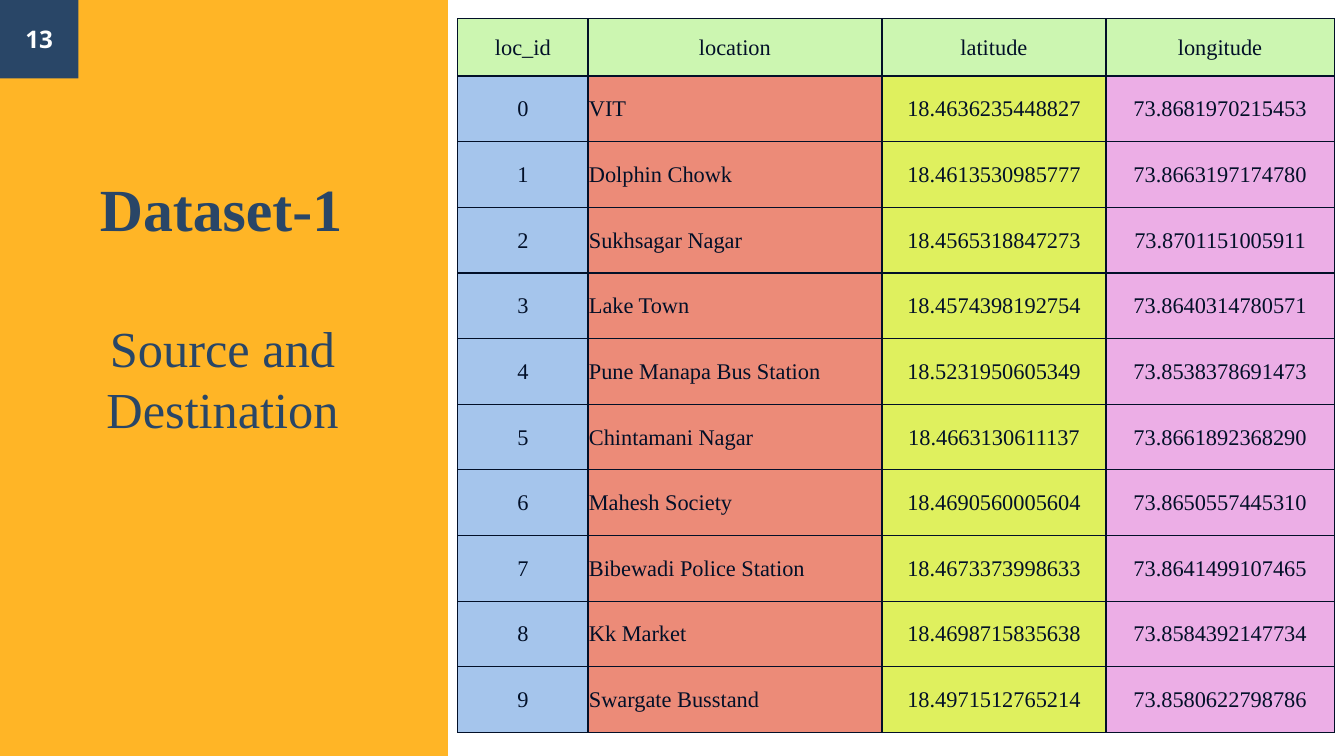
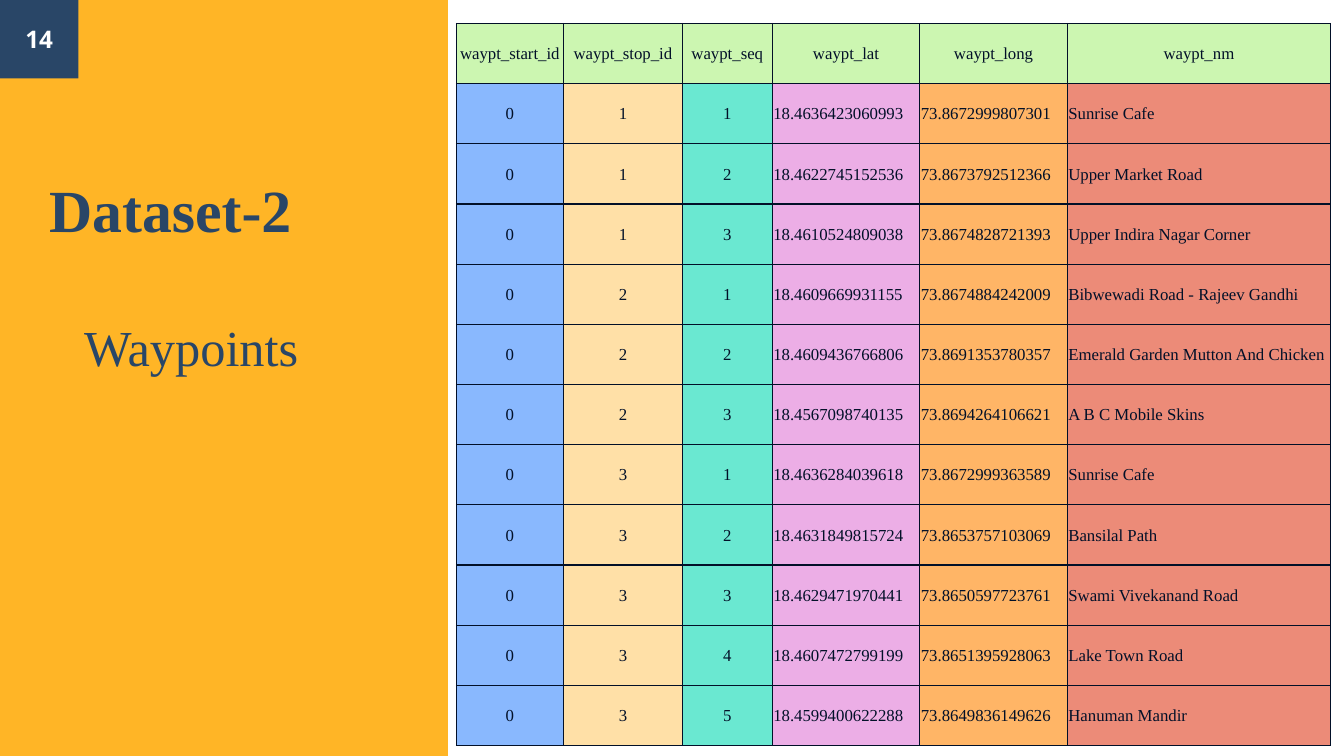
from lxml import etree
from pptx import Presentation
from pptx.dml.color import RGBColor
from pptx.enum.shapes import MSO_SHAPE
from pptx.enum.text import MSO_ANCHOR, PP_ALIGN
from pptx.oxml.ns import qn
from pptx.util import Pt

RECT = MSO_SHAPE.RECTANGLE
TOP, MIDDLE, BOTTOM = MSO_ANCHOR.TOP, MSO_ANCHOR.MIDDLE, MSO_ANCHOR.BOTTOM
LEFT, CENTER = PP_ALIGN.LEFT, PP_ALIGN.CENTER

# Shared colours and fonts
AMBER, NAVY, INK, WHITE = "FFB526", "294667", "021028", "FFFFFF"
MINT, CORAL, PINK = "CCF6B1", "EC8B78", "ECAEE6"
SERIF, SANS = "Times New Roman", "Open Sans"


def rgb(code):
    return RGBColor.from_string(code)


class Deck:
    """Holds the style and the current slide; all lengths are points."""

    title_style = dict(name=SERIF, size=Pt(42.7), bold=True, color=NAVY)
    subtitle_style = dict(name=SERIF, size=Pt(36), color=NAVY)
    number_style = dict(name=SANS, size=Pt(17.3), bold=True, color=WHITE)

    def __init__(self):
        self.prs = Presentation()
        self.prs.slide_width, self.prs.slide_height = Pt(960), Pt(540)
        self.s = None

    def slide(self, number):
        self.s = self.prs.slides.add_slide(self.prs.slide_layouts[6])
        self.rect(0, 0, 320, 540, AMBER)
        badge = self.rect(0, 0, 56, 56, NAVY)
        self.fill_frame(badge.text_frame, [str(number)], self.number_style, CENTER, MIDDLE)

    def rect(self, x, y, w, h, color):
        sp = self.s.shapes.add_shape(RECT, Pt(x), Pt(y), Pt(w), Pt(h))
        sp.shadow.inherit = False
        sp.fill.solid()
        sp.fill.fore_color.rgb = rgb(color)
        sp.line.fill.background()
        return sp

    def text(self, x, y, w, h, lines, style, align=LEFT, anchor=TOP):
        sp = self.s.shapes.add_textbox(Pt(x), Pt(y), Pt(w), Pt(h))
        self.fill_frame(sp.text_frame, lines, style, align, anchor)

    def fill_frame(self, tf, lines, style, align, anchor):
        pad = Pt(3.6 if anchor == TOP else 7.2)
        frame = dict(word_wrap=True, vertical_anchor=anchor,
                     margin_left=Pt(7.2), margin_right=Pt(7.2),
                     margin_top=pad, margin_bottom=pad)
        for key, value in frame.items():
            setattr(tf, key, value)
        for i, line in enumerate(lines):
            p = tf.add_paragraph() if i else tf.paragraphs[0]
            self.run(p, line, style, align)

    def run(self, p, text, style, align):
        p.alignment = align
        r = p.add_run()
        r.text = text
        for key, value in style.items():
            if key == "color":
                r.font.color.rgb = rgb(value)
            else:
                setattr(r.font, key, value)

    def table(self, x, y, columns, rows, header_height, row_height, size):
        """columns: (heading, width, fill, alignment) for each column."""
        height = header_height + row_height * len(rows)
        width = sum(column[1] for column in columns)
        table = self.s.shapes.add_table(len(rows) + 1, len(columns), Pt(x), Pt(y),
                                        Pt(width), Pt(height)).table
        table.first_row = table.horz_banding = False
        for i, row in enumerate(table.rows):
            row.height = Pt(row_height if i else header_height)
        style = dict(name=SERIF, size=Pt(size), color=INK)
        for j, (heading, col_width, fill, align) in enumerate(columns):
            table.columns[j].width = Pt(col_width)
            self.cell(table.cell(0, j), heading, style, MINT, CENTER)
            for i, row in enumerate(rows, 1):
                self.cell(table.cell(i, j), row[j], style, fill, align)

    def cell(self, cell, text, style, fill, align):
        layout = dict(margin_left=Pt(0.7), margin_right=Pt(0.7), margin_top=Pt(0.7),
                      margin_bottom=Pt(0), vertical_anchor=MIDDLE)
        for key, value in layout.items():
            setattr(cell, key, value)
        self.run(cell.text_frame.paragraphs[0], text, style, align)
        # Borders come before the fill in the cell properties
        tc_pr = cell._tc.get_or_add_tcPr()
        for side in ("lnL", "lnR", "lnT", "lnB"):
            ln = etree.SubElement(tc_pr, qn("a:" + side), w=str(int(Pt(1))))
            solid = etree.SubElement(ln, qn("a:solidFill"))
            etree.SubElement(solid, qn("a:srgbClr"), val=INK)
        cell.fill.solid()
        cell.fill.fore_color.rgb = rgb(fill)


LOCATIONS = [
    ("0", "VIT", "18.4636235448827", "73.8681970215453"),
    ("1", "Dolphin Chowk", "18.4613530985777", "73.8663197174780"),
    ("2", "Sukhsagar Nagar", "18.4565318847273", "73.8701151005911"),
    ("3", "Lake Town", "18.4574398192754", "73.8640314780571"),
    ("4", "Pune Manapa Bus Station", "18.5231950605349", "73.8538378691473"),
    ("5", "Chintamani Nagar", "18.4663130611137", "73.8661892368290"),
    ("6", "Mahesh Society", "18.4690560005604", "73.8650557445310"),
    ("7", "Bibewadi Police Station", "18.4673373998633", "73.8641499107465"),
    ("8", "Kk Market", "18.4698715835638", "73.8584392147734"),
    ("9", "Swargate Busstand", "18.4971512765214", "73.8580622798786"),
]

WAYPOINTS = [
    ("0", "1", "1", "18.4636423060993", "73.8672999807301", "Sunrise Cafe"),
    ("0", "1", "2", "18.4622745152536", "73.8673792512366", "Upper Market Road"),
    ("0", "1", "3", "18.4610524809038", "73.8674828721393", "Upper Indira Nagar Corner"),
    ("0", "2", "1", "18.4609669931155", "73.8674884242009", "Bibwewadi Road - Rajeev Gandhi"),
    ("0", "2", "2", "18.4609436766806", "73.8691353780357", "Emerald Garden Mutton And Chicken"),
    ("0", "2", "3", "18.4567098740135", "73.8694264106621", "A B C Mobile Skins"),
    ("0", "3", "1", "18.4636284039618", "73.8672999363589", "Sunrise Cafe"),
    ("0", "3", "2", "18.4631849815724", "73.8653757103069", "Bansilal Path"),
    ("0", "3", "3", "18.4629471970441", "73.8650597723761", "Swami Vivekanand Road"),
    ("0", "3", "4", "18.4607472799199", "73.8651395928063", "Lake Town Road"),
    ("0", "3", "5", "18.4599400622288", "73.8649836149626", "Hanuman Mandir"),
]


def main():
    deck = Deck()

    # Dataset 1: source and destination
    deck.slide(13)
    deck.text(17, 67, 282, 114, ["Dataset-1"], deck.title_style, CENTER, BOTTOM)
    deck.text(32, 223, 254, 124, ["Source and", "Destination"], deck.subtitle_style, CENTER)
    deck.table(327, 13.5, [
        ("loc_id", 93, "A5C5EC", CENTER),
        ("location", 210, CORAL, LEFT),
        ("latitude", 160, "DFF05E", CENTER),
        ("longitude", 163, PINK, CENTER),
    ], LOCATIONS, 40.8, 46.9, 16)

    # Dataset 2: waypoints
    deck.slide(14)
    deck.text(28, 56, 263, 126, ["Dataset-2"], deck.title_style, LEFT, BOTTOM)
    deck.text(53, 222, 260, 51, ["Waypoints"], deck.subtitle_style)
    deck.table(326, 16.8, [
        ("waypt_start_id", 76.5, "89B8FE", CENTER),
        ("waypt_stop_id", 85, "FFE0A7", CENTER),
        ("waypt_seq", 64.2, "6AE8D1", CENTER),
        ("waypt_lat", 105.4, PINK, LEFT),
        ("waypt_long", 105.4, "FFB566", LEFT),
        ("waypt_nm", 188, CORAL, LEFT),
    ], WAYPOINTS, 43, 43, 12)

    deck.prs.save("out.pptx")


if __name__ == "__main__":
    main()
